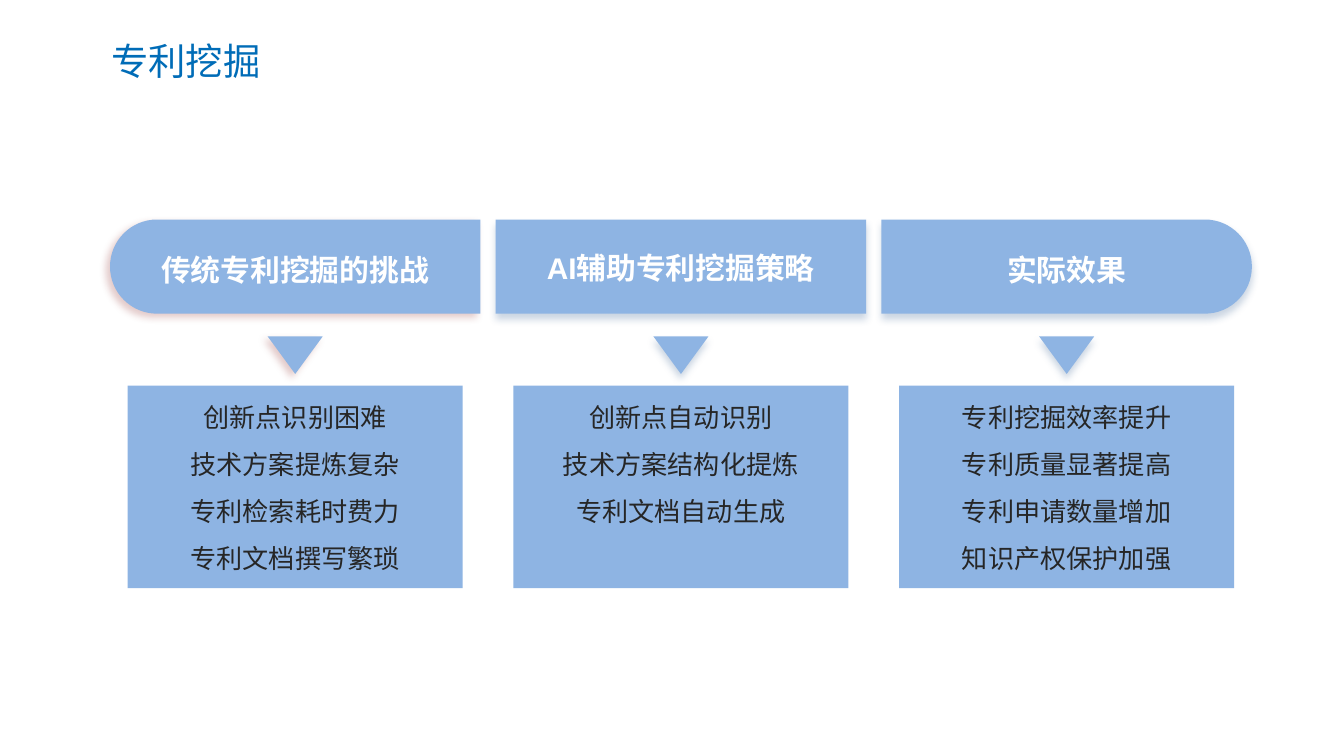
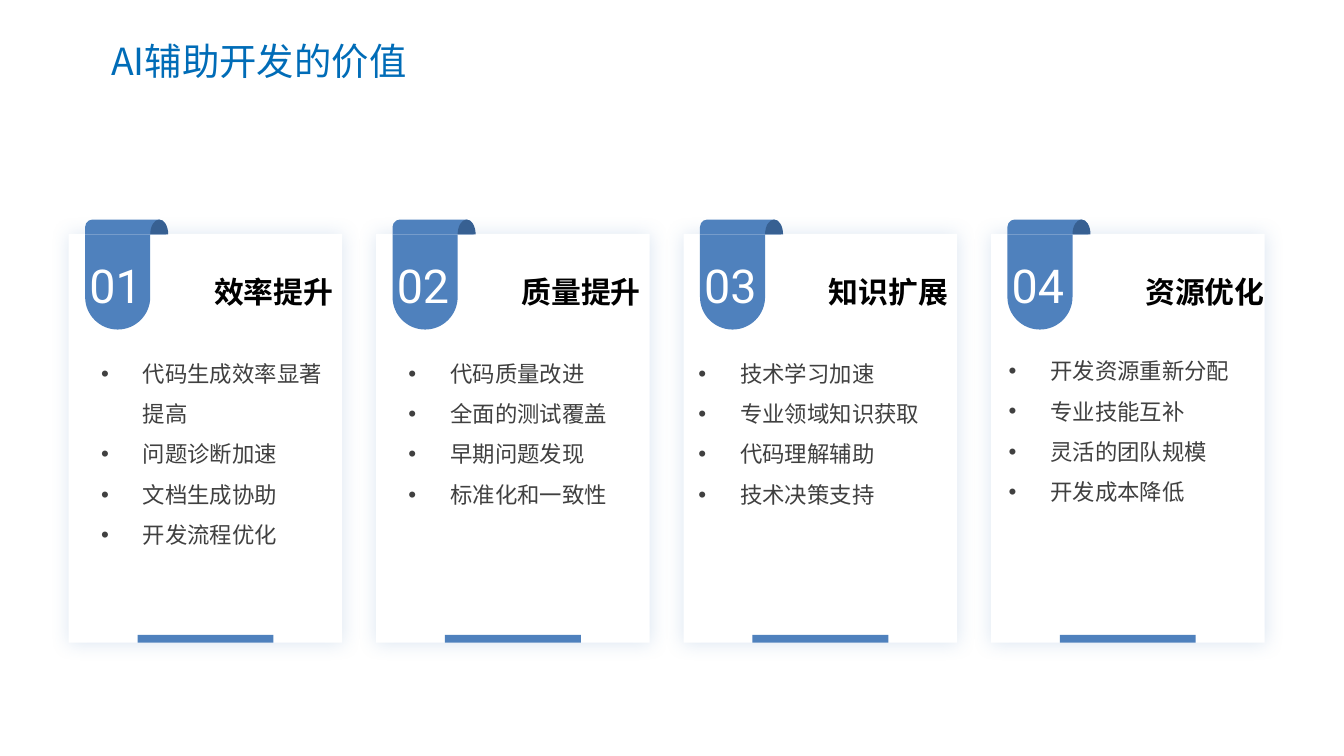
from dataclasses import dataclass

from lxml import etree
from pptx import Presentation
from pptx import util as u
from pptx.dml.color import RGBColor
from pptx.enum import shapes, text
from pptx.oxml.ns import qn

PRESET = shapes.MSO_SHAPE
ALIGN = text.PP_ALIGN
ANCHOR = text.MSO_ANCHOR
CURVE = 0.5523


@dataclass(frozen=True)
class Theme:
    title: str = "006CB7"
    panel: str = "8EB4E3"
    accent: str = "4F81BD"
    accent_dark: str = "376092"
    warm_shadow: str = "953735"
    white: str = "FFFFFF"
    black: str = "000000"
    panel_text: str = "262626"
    list_text: str = "404040"
    cjk: str = "Noto Sans CJK SC"
    latin: str = "Arial"
    digits: str = "Roboto"
    title_size: int = 20
    heading_size: int = 16
    panel_size: int = 14
    list_size: int = 12
    number_size: int = 25


THEME = Theme()
WARM = (THEME.warm_shadow, 25, 4, 3, 135)
COOL = (THEME.accent_dark, 25, 4, 3, 90)
GLOW = (THEME.accent, 20, 10, 0, 0)


@dataclass(frozen=True)
class Box:
    left: float
    top: float
    width: float
    height: float

    def inner(self, dx, dy, width, height):
        return Box(self.left + dx, self.top + dy, width, height)

    def centred(self, dy, width, height):
        return self.inner((self.width - width) / 2, dy, width, height)

    def lengths(self):
        return [u.Cm(v) for v in (self.left, self.top, self.width, self.height)]


def place(shape, box):
    shape.left, shape.top, shape.width, shape.height = box.lengths()


def add_bullet(paragraph, indent):
    props = paragraph._p.get_or_add_pPr()
    props.set("marL", str(u.Cm(indent)))
    props.set("indent", str(-u.Cm(indent)))
    etree.SubElement(props, qn("a:buFont"), typeface=THEME.latin)
    etree.SubElement(props, qn("a:buChar"), char="•")


def write(shape, lines, *, size, color, font=THEME.latin, bold=False,
          align=ALIGN.LEFT, anchor=ANCHOR.TOP, spacing=1.0,
          insets=(0, 0), bullet_indent=None):
    frame = shape.text_frame
    frame.word_wrap = True
    frame.auto_size = text.MSO_AUTO_SIZE.NONE
    frame.vertical_anchor = anchor
    frame.margin_left = frame.margin_right = u.Cm(insets[0])
    frame.margin_top = frame.margin_bottom = u.Cm(insets[1])
    for index, line in enumerate(lines):
        paragraph = frame.add_paragraph() if index else frame.paragraphs[0]
        paragraph.alignment = align
        paragraph.line_spacing = spacing
        paragraph.space_before = u.Pt(0)
        if bullet_indent:
            add_bullet(paragraph, bullet_indent)
        run = paragraph.add_run()
        run.text = line
        run.font.size = u.Pt(size)
        run.font.bold = bold
        run.font.name = font
        run.font.color.rgb = RGBColor.from_string(color)
        etree.SubElement(run.font._element, qn("a:ea"), typeface=THEME.cjk)


def paint(shape, fill, shadow=None):
    shape.fill.solid()
    shape.fill.fore_color.rgb = RGBColor.from_string(fill)
    shape.line.fill.background()
    shape.shadow.inherit = False
    if shadow:
        color, opacity, blur, distance, angle = shadow
        effects = shape.element.spPr.find(qn("a:effectLst"))
        outer = etree.SubElement(
            effects, qn("a:outerShdw"), blurRad=str(u.Pt(blur)),
            dist=str(u.Pt(distance)), dir=str(angle * 60000),
            algn="ctr", rotWithShape="0")
        tint = etree.SubElement(outer, qn("a:srgbClr"), val=color)
        etree.SubElement(tint, qn("a:alpha"), val=str(opacity * 1000))
    return shape


def add_preset(slide, preset, box, fill, shadow=None):
    return paint(slide.shapes.add_shape(preset, *box.lengths()), fill, shadow)


def add_outline(slide, start, segments, fill, shadow=None):
    points = [(u.Cm(x), u.Cm(y)) for segment in segments for x, y in segment]
    builder = slide.shapes.build_freeform(*map(u.Cm, start), scale=1.0)
    builder.add_line_segments(points, close=True)
    shape = builder.convert_to_shape()
    steps = iter(list(shape.element.iter(qn("a:lnTo"))))
    for segment in segments:
        first, *others = [next(steps) for _ in segment]
        if others:
            first.tag = qn("a:cubicBezTo")
            for step in others:
                first.append(step[0])
                step.getparent().remove(step)
    return paint(shape, fill, shadow)


def half_ellipse(start, apex, end):
    first_control = [s + CURVE * (a - c) for s, a, c in
                     zip(start, apex, midpoint(start, end))]
    last_control = [e + CURVE * (a - c) for e, a, c in
                    zip(end, apex, midpoint(start, end))]
    half = [(e - s) / 2 * CURVE for s, e in zip(start, end)]
    before_apex = [a - h for a, h in zip(apex, half)]
    after_apex = [a + h for a, h in zip(apex, half)]
    return [(first_control, before_apex, apex),
            (after_apex, last_control, end)]


def midpoint(start, end):
    return [(s + e) / 2 for s, e in zip(start, end)]


def add_label(slide, box, label, **style):
    write(slide.shapes.add_textbox(*box.lengths()), [label],
          anchor=ANCHOR.MIDDLE, spacing=1.1, **style)


def add_titled_slide(deck, layout, title, title_width):
    slide = deck.slides.add_slide(deck.slide_layouts.get_by_name(layout))
    place(slide.shapes.title, Box(1.85, 0.6, title_width, 1.12))
    write(slide.shapes.title, [title], size=THEME.title_size,
          color=THEME.title, font=THEME.cjk, insets=(0.25, 0.13))
    return slide


def add_header(slide, box, rounded, shadow):
    if not rounded:
        add_preset(slide, PRESET.RECTANGLE, box, THEME.panel, shadow)
        return
    radius = box.height / 2
    right, bottom = box.left + box.width, box.top + box.height
    tip, flat, inward = ((box.left, right, radius) if rounded == "left"
                         else (right, box.left, -radius))
    curve_x = tip + inward
    curve = half_ellipse((curve_x, bottom), (tip, box.top + radius),
                         (curve_x, box.top))
    add_outline(slide, (flat, box.top),
                [((flat, bottom),), ((curve_x, bottom),)] + curve,
                THEME.panel, shadow)


def add_topic_column(slide, box, heading, points, rounded, shadow, label_dy):
    add_header(slide, box.inner(0, 0, box.width, 1.78), rounded, shadow)
    label = add_preset(slide, PRESET.RECTANGLE,
                       box.centred(label_dy, 5.8, 1.24), THEME.panel)
    write(label, [heading], size=THEME.heading_size, color=THEME.white,
          bold=True, align=ALIGN.CENTER, anchor=ANCHOR.MIDDLE, spacing=1.1)
    panel = add_preset(slide, PRESET.RECTANGLE,
                       box.centred(3.14, 6.33, 3.83), THEME.panel)
    write(panel, points, size=THEME.panel_size, color=THEME.panel_text,
          align=ALIGN.CENTER, spacing=1.5)
    add_preset(slide, PRESET.FLOWCHART_MERGE,
               box.centred(2.21, 1.04, 0.71), THEME.panel, shadow)


def add_ribbon(slide, box, number):
    fold = 0.28
    radius = box.width / 2
    right, fold_y = box.left + box.width, box.top + fold
    bottom = box.top + box.height
    round_y = bottom - radius
    tail = half_ellipse((right, round_y), (box.left + radius, bottom),
                        (box.left, round_y))
    add_outline(slide, (box.left, fold_y),
                [((right, fold_y),), ((right, round_y),)] + tail,
                THEME.accent)
    strip = add_preset(slide, PRESET.ROUND_2_SAME_RECTANGLE,
                       box.inner(0, 0, 1.53, fold), THEME.accent)
    strip.adjustments[0], strip.adjustments[1] = 0.5, 0
    curl = half_ellipse((right, fold_y), (right + 0.17, box.top),
                        (right + 0.34, fold_y))
    add_outline(slide, (right, fold_y), curl, THEME.accent_dark)
    add_label(slide, box.inner(-0.1, 0.69, 1.35, 1), number,
              size=THEME.number_size, color=THEME.white,
              font=THEME.digits, align=ALIGN.CENTER)


def add_value_card(slide, box, number, heading, heading_dx, points,
                   list_box, placeholder):
    add_preset(slide, PRESET.RECTANGLE, box, THEME.white, GLOW)
    add_label(slide, box.inner(heading_dx, 0.53, 3.04, 1.04), heading,
              size=THEME.heading_size, color=THEME.black, bold=True,
              align=ALIGN.RIGHT)
    add_ribbon(slide, box.inner(0.31, -0.27, 1.23, 2.08), number)
    place(placeholder, box.inner(*list_box, 5.23))
    slide.shapes.element.append(placeholder.element)
    write(placeholder, points, size=THEME.list_size, color=THEME.list_text,
          spacing=1.5, bullet_indent=0.79)
    add_preset(slide, PRESET.RECTANGLE,
               box.centred(box.height - 0.15, 2.57, 0.15), THEME.accent)


def build_mining_slide(deck):
    slide = add_titled_slide(deck, "Title Only", "专利挖掘", 3.4)
    columns = [
        ("传统专利挖掘的挑战",
         ["创新点识别困难", "技术方案提炼复杂", "专利检索耗时费力", "专利文档撰写繁琐"],
         "left", WARM, 0.29),
        ("AI辅助专利挖掘策略",
         ["创新点自动识别", "技术方案结构化提炼", "专利文档自动生成"],
         None, COOL, 0.25),
        ("实际效果",
         ["专利挖掘效率提升", "专利质量显著提高", "专利申请数量增加", "知识产权保护加强"],
         "right", COOL, 0.29),
    ]
    for index, column in enumerate(columns):
        add_topic_column(slide, Box(2.08 + 7.29 * index, 4.15, 7, 6.97),
                         *column)


def build_value_slide(deck):
    slide = add_titled_slide(deck, "Comparison", "AI辅助开发的价值", 6.2)
    cards = [
        ("效率提升", 1.96,
         ["代码生成效率显著提高", "问题诊断加速", "文档生成协助", "开发流程优化"],
         (0.61, 2.13, 4.34)),
        ("质量提升", 1.96,
         ["代码质量改进", "全面的测试覆盖", "早期问题发现", "标准化和一致性"],
         (0.61, 2.13, 4.34)),
        ("知识扩展", 1.96,
         ["技术学习加速", "专业领域知识获取", "代码理解辅助", "技术决策支持"],
         (0.28, 2.13, 4.93)),
        ("资源优化", 2.13,
         ["开发资源重新分配", "专业技能互补", "灵活的团队规模", "开发成本降低"],
         (0.33, 2.08, 5.16)),
    ]
    lists = [p for p in slide.placeholders if p.placeholder_format.idx]
    for index, (card, placeholder) in enumerate(zip(cards, lists)):
        add_value_card(slide, Box(1.3 + 5.81 * index, 4.42, 5.17, 7.73),
                       f"{index + 1:02d}", *card, placeholder)


def main():
    deck = Presentation()
    deck.slide_width, deck.slide_height = u.Cm(25.4), u.Cm(14.29)
    build_mining_slide(deck)
    build_value_slide(deck)
    deck.save("out.pptx")


if __name__ == "__main__":
    main()
